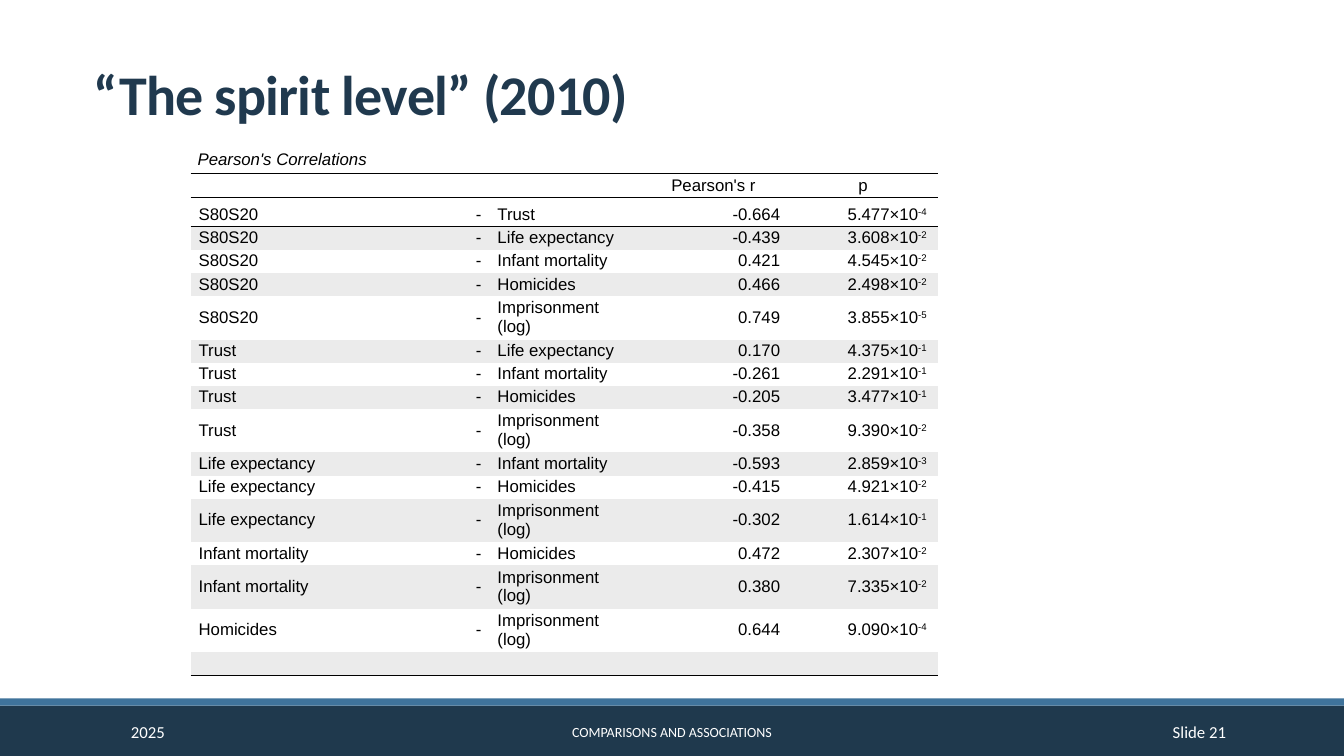
from dataclasses import dataclass

from lxml.etree import SubElement
from pptx import Presentation
from pptx.dml.color import RGBColor
from pptx.enum.shapes import MSO_SHAPE
from pptx.enum.text import MSO_ANCHOR, PP_ALIGN
from pptx.oxml.ns import qn
from pptx.util import Inches, Pt

LEFT, MID, RIGHT = PP_ALIGN.LEFT, PP_ALIGN.CENTER, PP_ALIGN.RIGHT
SIDES = (LEFT, RIGHT, LEFT, RIGHT, RIGHT)
PAIRS = [
    ("S80S20", "Trust", "-0.664", "5.477", "-4"),
    ("S80S20", "Life expectancy", "-0.439", "3.608", "-2"),
    ("S80S20", "Infant mortality", "0.421", "4.545", "-2"),
    ("S80S20", "Homicides", "0.466", "2.498", "-2"),
    ("S80S20", "Imprisonment (log)", "0.749", "3.855", "-5"),
    ("Trust", "Life expectancy", "0.170", "4.375", "-1"),
    ("Trust", "Infant mortality", "-0.261", "2.291", "-1"),
    ("Trust", "Homicides", "-0.205", "3.477", "-1"),
    ("Trust", "Imprisonment (log)", "-0.358", "9.390", "-2"),
    ("Life expectancy", "Infant mortality", "-0.593", "2.859", "-3"),
    ("Life expectancy", "Homicides", "-0.415", "4.921", "-2"),
    ("Life expectancy", "Imprisonment (log)", "-0.302", "1.614", "-1"),
    ("Infant mortality", "Homicides", "0.472", "2.307", "-2"),
    ("Infant mortality", "Imprisonment (log)", "0.380", "7.335", "-2"),
    ("Homicides", "Imprisonment (log)", "0.644", "9.090", "-4"),
]


@dataclass(frozen=True)
class Theme:
    """Colours, fonts and type sizes of the slide."""
    navy: str = "1F394D"
    blue: str = "3F739B"
    ink: str = "20394E"
    white: str = "FFFFFF"
    black: str = "000000"
    band: str = "EBEBEB"
    face: str = "Calibri"
    grid: str = "Arial"
    big: int = 40
    body: int = 12
    small: int = 10
    plain: str = "{2D5ABB26-0587-4C30-8999-92F81FD0307C}"


def apply(item, values):
    """Set each attribute named in values."""
    for name, value in values.items():
        setattr(item, name, value)


class Deck:
    """Draws styled elements on the current slide."""

    def __init__(self, slide, theme):
        """Keep the slide and its theme."""
        self.slide, self.theme = slide, theme

    def bar(self, top, tall, color):
        """Draw a full-width bar."""
        spot = map(Inches, (0, top, 13.33, tall))
        bar = self.slide.shapes.add_shape(MSO_SHAPE.RECTANGLE, *spot)
        bar.shadow.inherit = False
        bar.fill.solid()
        bar.fill.fore_color.rgb = RGBColor.from_string(color)
        bar.line.fill.background()

    def run(self, para, text, size, face, color, **more):
        """Add a styled run."""
        run = para.add_run()
        run.text = text
        apply(run.font, {"size": Pt(size), "name": face, **more})
        run.font.color.rgb = RGBColor.from_string(color)
        return run

    def label(self, spot, text, size, color, side=LEFT,
              anchor=MSO_ANCHOR.MIDDLE, **more):
        """Place one line of text."""
        frame = self.slide.shapes.add_textbox(*map(Inches, spot)).text_frame
        apply(frame, {"word_wrap": True, "vertical_anchor": anchor})
        para = frame.paragraphs[0]
        para.alignment = side
        return self.run(para, text, size, self.theme.face, color, **more)

    def rule(self, cell, *edges):
        """Draw thin lines on the given cell edges."""
        props = cell._tc.get_or_add_tcPr()
        for edge in edges:
            line = SubElement(props, qn("a:ln" + edge), w=str(Pt(0.75)))
            fill = SubElement(line, qn("a:solidFill"))
            SubElement(fill, qn("a:srgbClr"), val=self.theme.black)

    def cell(self, cell, text, pad, edges="", fill=None, side=LEFT, power="",
             after=None, **more):
        """Fill and format one table cell."""
        theme = self.theme
        self.rule(cell, *edges)
        names = ("margin_left", "margin_top", "margin_right", "margin_bottom")
        apply(cell, {"vertical_anchor": MSO_ANCHOR.MIDDLE,
                     **dict(zip(names, map(Inches, pad)))})
        if fill:
            cell.fill.solid()
            cell.fill.fore_color.rgb = RGBColor.from_string(fill)
        else:
            cell.fill.background()
        para = cell.text_frame.paragraphs[0]
        apply(para, {"alignment": side, "space_after": after})
        style = (theme.body, theme.grid, theme.black)
        if text:
            self.run(para, text, *style, **more)
        else:
            SubElement(para._p, qn("a:endParaRPr"), sz=str(theme.body * 100))
        if power:
            run = self.run(para, power + " ", *style)
            run.font._element.set("baseline", "30000")

    def table(self, pairs):
        """Build the table of paired results."""
        theme, count = self.theme, len(pairs) + 3
        spot = map(Inches, (1.89, 1.44, 7.41, 5.22))
        frame = self.slide.shapes.add_table(count, 5, *spot)
        table = frame.table
        apply(table, {"first_row": False, "horz_banding": False})
        table._tbl.tblPr.find(qn("a:tableStyleId")).text = theme.plain
        tall = [0.28, 0.24, 0.29]
        tall += [0.42 if "(log)" in pair[1] else 0.22 for pair in pairs[1:]]
        for row, high in zip(table.rows, tall + [0.22]):
            row.height = Inches(high)
        heads = ("", "", "", "Pearson's r", "p")
        for col in range(5):
            title = "" if col else "Pearson's Correlations"
            self.cell(table.cell(0, col), title, (0.07, 0.04, 0.07, 0.04),
                      "B", italic=True)
            self.cell(table.cell(1, col), heads[col],
                      (0.08, 0.02, 0.08, 0.02), "TB", side=MID)
            self.cell(table.cell(count - 1, col), "",
                      (0.08, 0.01, 0.08, 0.02), "B", theme.band)
        for row, (left, right, score, base, power) in enumerate(pairs):
            texts = (left, "-", right, score, base + "×10")
            pad = (0.08, 0.01 if row else 0.07, 0.08, 0.02)
            for col, text in enumerate(texts):
                self.cell(table.cell(row + 2, col), text, pad,
                          "" if row else "T",
                          theme.band if row % 2 else theme.white, SIDES[col],
                          power if col == 4 else "",
                          Pt(7.2) if row == len(pairs) - 1 else None)
        for row in (0, count - 1):
            table.cell(row, 0).merge(table.cell(row, 4))


def main():
    """Build and save the slide."""
    show = Presentation()
    apply(show, {"slide_width": Inches(13.33), "slide_height": Inches(7.5)})
    theme = Theme()
    deck = Deck(show.slides.add_slide(show.slide_layouts[6]), theme)
    deck.bar(7, 0.5, theme.navy)
    deck.bar(6.93, 0.07, theme.blue)
    title = deck.label((0.83, 0.31, 10.48, 1), "“The spirit level” (2010)",
                       theme.big, theme.ink, anchor=MSO_ANCHOR.BOTTOM,
                       bold=True)
    title.font._element.set("spc", "-50")
    for left, wide, text, size, side in (
            (4.03, 5.27, "COMPARISONS AND ASSOCIATIONS", theme.small, MID),
            (10.83, 1.43, "Slide 21", theme.body, RIGHT),
            (1.2, 2.7, "2025", theme.body, LEFT)):
        deck.label((left, 7.06, wide, 0.4), text, size, theme.white, side)
    deck.table(PAIRS)
    show.save("out.pptx")


if __name__ == "__main__":
    main()
